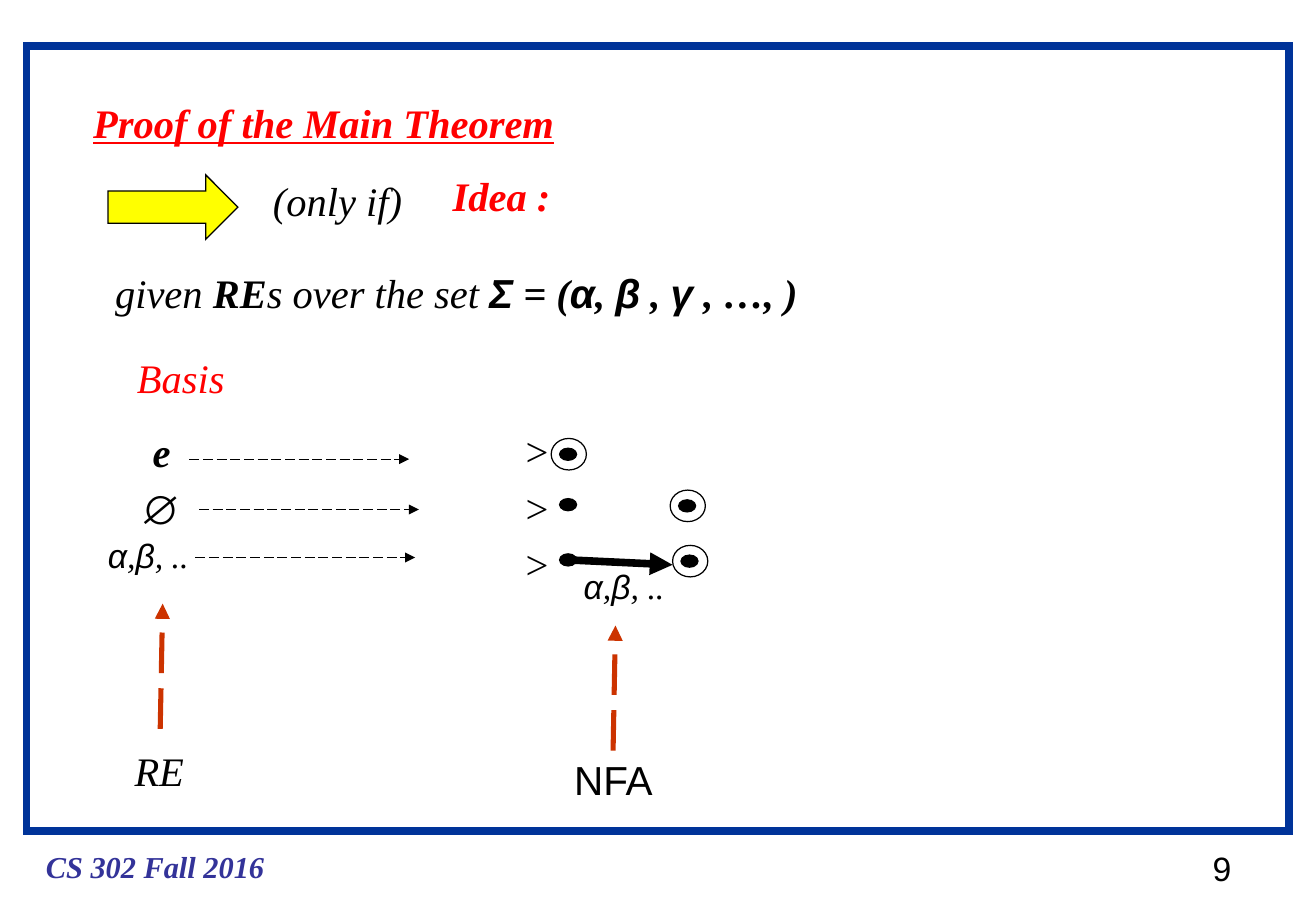
from lxml.etree import SubElement
from pptx import Presentation
from pptx.dml.color import RGBColor
from pptx.enum.dml import MSO_LINE
from pptx.enum.shapes import MSO_CONNECTOR, MSO_SHAPE
from pptx.enum.text import MSO_AUTO_SIZE
from pptx.oxml.ns import qn
from pptx.util import Inches, Pt

COLORS = {
    "black": "000000", "red": "FF0000", "yellow": "FFFF00",
    "frame": "003399", "footer": "333399", "pointer": "CC3300",
}
SERIF, SANS = "Times New Roman", "Arial"
LETTERS = [("α", {"name": SANS}), (",", {}), ("β", {"name": SANS}), (", ..", {})]
GREEK = {"name": SANS, "bold": True}
BOLD = {"bold": True}
ALPHABET = [
    ("given ", {}), ("RE", BOLD), ("s over the set ", {}), ("Σ", GREEK),
    (" = (", BOLD), ("α", GREEK), (", ", BOLD), ("β", GREEK),
    (" , ", BOLD), ("γ", GREEK), (" , …, )", BOLD),
]


def color(name):
    return RGBColor.from_string(COLORS[name])


def add_text(slide, left, top, width, height, runs, ink="black", wrap=False, **values):
    shape = slide.shapes.add_textbox(*map(Inches, (left, top, width, height)))
    frame = shape.text_frame
    frame.word_wrap = wrap
    frame.auto_size = MSO_AUTO_SIZE.SHAPE_TO_FIT_TEXT
    base = {"name": SERIF, "size": Pt(24), "bold": False, "italic": True, **values}
    if isinstance(runs, str):
        runs = [(runs, {})]
    for text, changes in runs:
        run = frame.paragraphs[0].add_run()
        run.text = text
        run.font.color.rgb = color(ink)
        for key, value in {**base, **changes}.items():
            setattr(run.font, key, value)


def add_outline(slide, kind, left, top, width, height, fill=None, line="black", weight=0.75):
    shape = slide.shapes.add_shape(kind, *map(Inches, (left, top, width, height)))
    shape.shadow.inherit = False
    if fill:
        shape.fill.solid()
        shape.fill.fore_color.rgb = color(fill)
    else:
        shape.fill.background()
    shape.line.color.rgb = color(line)
    shape.line.width = Pt(weight)
    SubElement(shape.line._get_or_add_ln(), qn("a:miter"), lim="800000")


def add_arrow(slide, start, end, ink="black", weight=0.75, dashed=True):
    arrow = slide.shapes.add_connector(MSO_CONNECTOR.STRAIGHT, *map(Inches, (*start, *end)))
    arrow.line.color.rgb = color(ink)
    arrow.line.width = Pt(weight)
    if dashed:
        arrow.line.dash_style = MSO_LINE.LONG_DASH
    SubElement(arrow.line._get_or_add_ln(), qn("a:tailEnd"), type="triangle")
    SubElement(arrow._element.spPr, qn("a:effectLst"))


def add_state(slide, left, top):
    add_outline(slide, MSO_SHAPE.OVAL, left, top, 0.14, 0.1, fill="black")


def add_final_state(slide, left, top):
    add_state(slide, left + 0.07, top + 0.08)
    add_outline(slide, MSO_SHAPE.OVAL, left, top, 0.29, 0.26)


def add_frame(slide, left, top, width, height):
    add_outline(slide, MSO_SHAPE.RECTANGLE, left, top, width, height, line="frame", weight=4.5)
    footer_top = top + height + 0.09
    add_text(slide, left + 0.06, footer_top, 2.1, 0.4, "CS 302 Fall 2016",
             ink="footer", size=Pt(18), bold=True)
    add_text(slide, left + width - 0.73, footer_top, 0.37, 0.44, "9",
             name=SANS, size=Pt(20), italic=False)


def add_heading(slide, left, top):
    add_text(slide, left, top, 4.1, 0.5, "Proof of the Main Theorem",
             ink="red", bold=True, underline=True)
    add_outline(slide, MSO_SHAPE.RIGHT_ARROW, left + 0.22, top + 0.68, 1.07, 0.53, fill="yellow")
    add_text(slide, left + 1.48, top + 0.64, 1.34, 0.5, "(only if)")
    add_text(slide, left + 2.96, top + 0.6, 1.08, 0.5, "Idea :", ink="red", bold=True)
    add_text(slide, left + 0.18, top + 1.4, 8.57, 0.5, ALPHABET, wrap=True)
    add_text(slide, left + 0.36, top + 2.1, 0.98, 0.5, "Basis", ink="red")


def add_basis_row(slide, left, top, label, label_box, label_format, arrow, final, start=None):
    x, y, width, height = label_box
    add_text(slide, left + x, top + y, width, height, label, **label_format)
    arrow_x, arrow_y = left + arrow[0], top + arrow[1]
    add_arrow(slide, (arrow_x, arrow_y), (arrow_x + 1.81, arrow_y))
    add_text(slide, left + 3.42, top, 0.42, 0.5, ">")
    if start:
        add_state(slide, left + 3.82, top + start)
    add_final_state(slide, left + final[0], top + final[1])


def add_basis(slide, left, top):
    rows = [
        ("e", (0.37, 0.01, 0.37, 0.5), {"bold": True}, (0.77, 0.32), (3.75, 0.15)),
        ("∅", (0.27, 0.01, 0.48, 0.5), {"bold": True, "name": SANS},
         (0.85, 0.27), (4.73, 0.11), 0.18),
        (LETTERS, (0, -0.04, 0.9, 0.44), {"size": Pt(20)}, (0.82, 0.2), (4.75, 0.1), 0.17),
    ]
    for index, row in enumerate(rows):
        add_basis_row(slide, left, top + index * 0.465, *row)
    add_arrow(slide, (left + 3.9, top + 1.15), (left + 4.75, top + 1.19),
              weight=4.5, dashed=False)
    add_text(slide, left + 3.92, top + 1.15, 0.9, 0.44, LETTERS, size=Pt(20))


def add_pointer(slide, left, top, label, label_box, **label_format):
    add_arrow(slide, (left, top + 1.03), (left + 0.02, top), ink="pointer", weight=3)
    x, y, width = label_box
    add_text(slide, left + x, top + y, width, 0.5, label, **label_format)


def main():
    presentation = Presentation()
    presentation.slide_width = Inches(10.84)
    presentation.slide_height = Inches(7.5)
    slide = presentation.slides.add_slide(presentation.slide_layouts[6])
    add_frame(slide, 0.22, 0.38, 10.4, 6.46)
    add_heading(slide, 0.67, 0.76)
    add_basis(slide, 0.79, 3.46)
    add_pointer(slide, 1.32, 4.97, "RE", (-0.31, 1.12, 0.68))
    add_pointer(slide, 5.05, 5.15, "NFA", (-0.42, 1.02, 0.92), name=SANS, italic=False)
    presentation.save("out.pptx")


if __name__ == "__main__":
    main()
